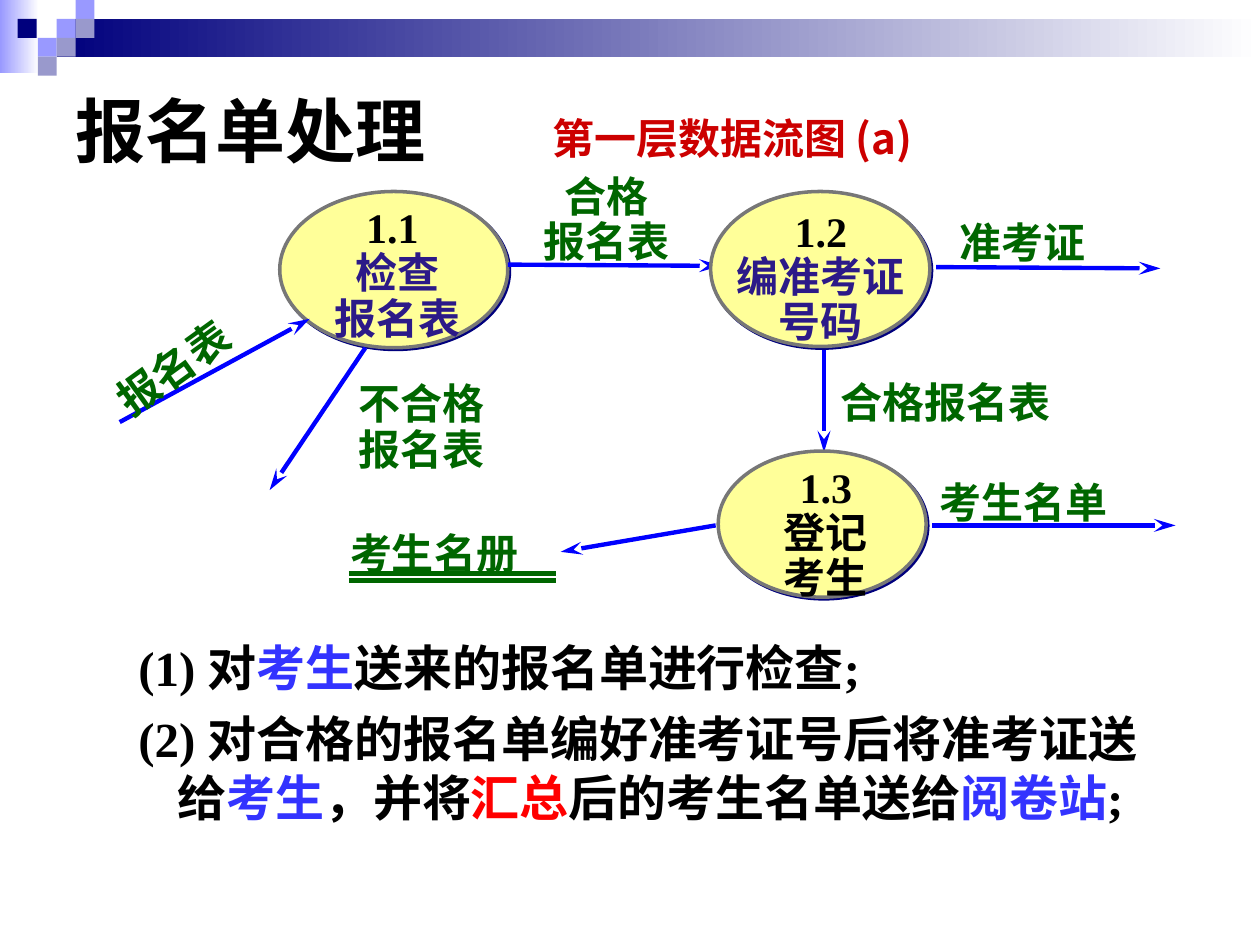
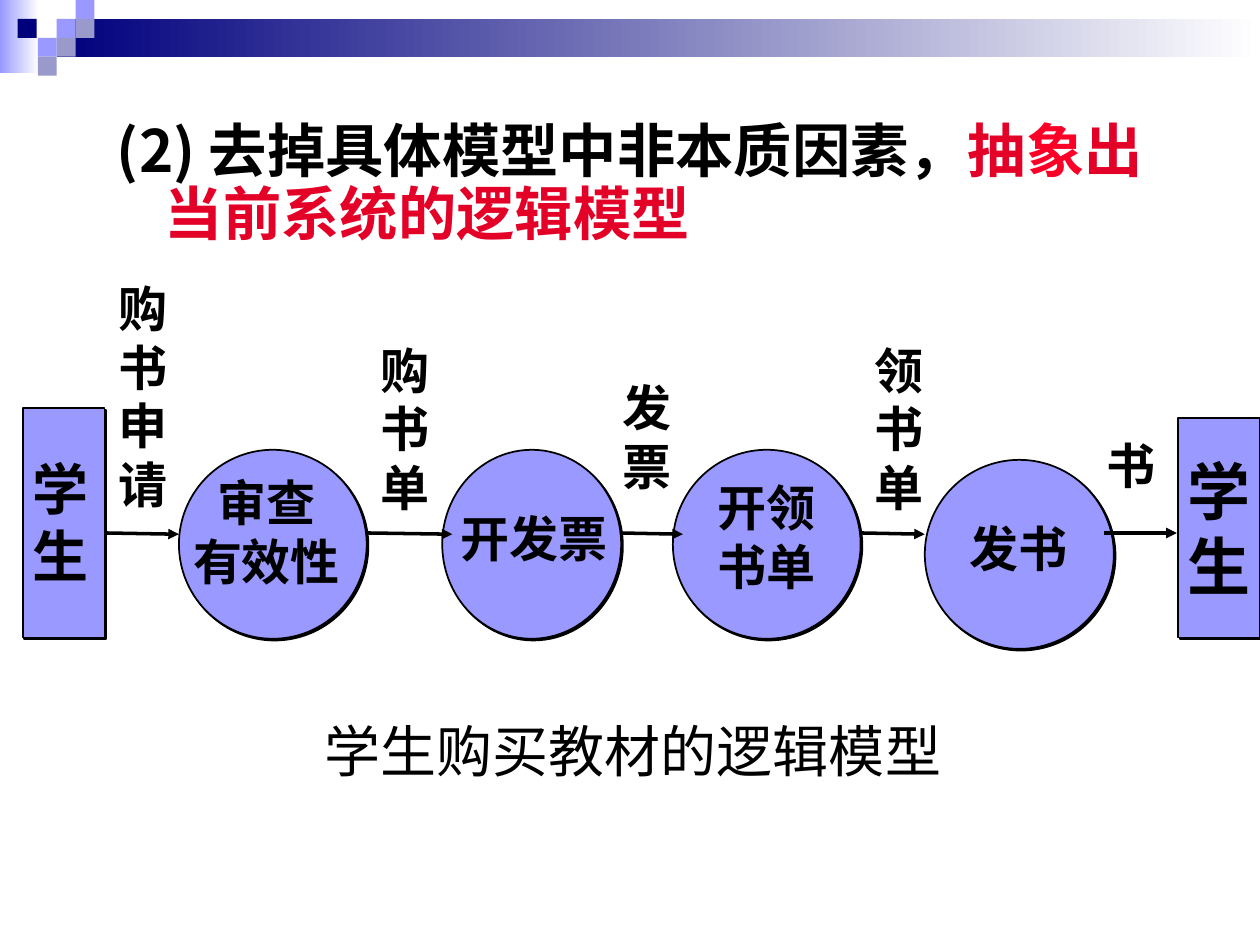
from dataclasses import dataclass

from lxml import etree
from pptx import Presentation
from pptx.dml.color import RGBColor
from pptx.enum.shapes import MSO_CONNECTOR, MSO_SHAPE
from pptx.enum.text import MSO_ANCHOR, PP_ALIGN
from pptx.oxml.ns import qn
from pptx.util import Inches, Pt

RECT, OVAL = MSO_SHAPE.RECTANGLE, MSO_SHAPE.OVAL
STRAIGHT = MSO_CONNECTOR.STRAIGHT
LEFT, CENTER, RIGHT = PP_ALIGN.LEFT, PP_ALIGN.CENTER, PP_ALIGN.RIGHT
TOP, MIDDLE = MSO_ANCHOR.TOP, MSO_ANCHOR.MIDDLE
STEALTH = {"type": "stealth", "w": "med", "len": "lg"}
TRIANGLE = {"type": "triangle"}


@dataclass(frozen=True)
class Theme:
    serif: str = "Times New Roman"
    sans: str = "Noto Sans CJK SC"
    subtitle_font: str = "Noto Sans CJK JP"
    white: str = "FFFFFF"
    black: str = "000000"
    navy: str = "00007D"
    periwinkle: str = "9999FF"
    lavender: str = "9999CC"
    yellow: str = "FFFF99"
    gray: str = "777777"
    flow_blue: str = "0000FF"
    data_green: str = "006600"
    process_text: str = "2C1A88"
    subtitle_red: str = "CC0000"
    term_blue: str = "3333FF"
    term_red: str = "FF0000"
    key_red: str = "E30127"
    key_red_bright: str = "FC0128"
    title_size: float = 40
    student_size: float = 36
    heading_size: float = 33.3
    caption_size: float = 32
    body_size: float = 28
    label_size: float = 24
    leading: float = 1.2
    tight: float = 0.9


THEME = Theme()


def rgb(code):
    return RGBColor.from_string(code)


def place(box):
    return [Inches(length) for length in box]


def write(shape, paragraphs, size, font=THEME.sans, color=THEME.black, bold=True,
          align=LEFT, anchor=TOP, wrap=True, spacing=1, before=0, indent=None):
    """Fill a shape with paragraphs; each is a string or a list of (text, colour) runs."""
    frame = shape.text_frame
    frame.word_wrap = wrap
    frame.vertical_anchor = anchor
    for index, content in enumerate(paragraphs):
        paragraph = frame.add_paragraph() if index else frame.paragraphs[0]
        paragraph.alignment = align
        paragraph.line_spacing = Pt(round(size * THEME.leading * spacing, 1))
        if index and before:
            paragraph.space_before = Pt(before)
        if indent:
            properties = paragraph._p.get_or_add_pPr()
            for name, value in zip(("marL", "indent"), indent):
                properties.set(name, str(Inches(value)))
        runs = [(content, color)] if isinstance(content, str) else content
        for text, run_color in runs:
            run = paragraph.add_run()
            run.text = text
            style = {"name": font, "size": Pt(size), "bold": bold}
            for name, value in style.items():
                setattr(run.font, name, value)
            run.font.color.rgb = rgb(run_color)
            east_asian = THEME.sans if font == THEME.serif else font
            etree.SubElement(run._r.get_or_add_rPr(), qn("a:ea"), typeface=east_asian)


def add_text(slide, box, paragraphs, size, **style):
    text_box = slide.shapes.add_textbox(*place(box))
    write(text_box, paragraphs, size, **style)
    return text_box


def add_block(slide, kind, box, fill):
    block = slide.shapes.add_shape(kind, *place(box))
    block.shadow.inherit = False
    block.line.fill.background()
    block.fill.solid()
    block.fill.fore_color.rgb = rgb(fill)
    return block


def add_node(slide, kind, box, fill, outline, width, shadow):
    """Add an outlined shape with a hard shadow to its lower right."""
    node = add_block(slide, kind, box, fill)
    node.line.color.rgb = rgb(outline)
    node.line.width = Pt(width)
    effects = node._element.spPr.find(qn("a:effectLst"))
    cast = etree.SubElement(effects, qn("a:outerShdw"), dist=str(Pt(1.4)),
                            dir="2700000", algn="ctr", rotWithShape="0")
    etree.SubElement(cast, qn("a:srgbClr"), val=shadow)
    return node


def add_line(slide, ends, color, width, arrow=None):
    line = slide.shapes.add_connector(STRAIGHT, *place(ends))
    line.line.color.rgb = rgb(color)
    line.line.width = Pt(width)
    if arrow:
        etree.SubElement(line.line._get_or_add_ln(), qn("a:tailEnd"), arrow)
    etree.SubElement(line._element.spPr, qn("a:effectLst"))


def add_faded_band(slide, box, color):
    band = add_block(slide, RECT, box, color)
    band.fill.gradient()
    band.fill.gradient_angle = 180
    for stop, stop_color in zip(band.fill.gradient_stops, (THEME.white, color)):
        stop.color.rgb = rgb(stop_color)


def add_banded_slide(deck):
    slide = deck.slides.add_slide(deck.slide_layouts[6])
    add_faded_band(slide, (0, 0, 0.31, 0.58), THEME.periwinkle)
    add_faded_band(slide, (0.45, 0.15, 9.55, 0.3), THEME.navy)
    tile = 0.15
    for left, top, color in [
        (0.45, 0.15, THEME.periwinkle), (0.6, 0, THEME.periwinkle),
        (0.6, 0.15, THEME.lavender), (0.3, 0.3, THEME.periwinkle),
        (0.14, 0.15, THEME.navy), (0.45, 0.3, THEME.lavender),
        (0.3, 0.45, THEME.lavender),
    ]:
        add_block(slide, RECT, (left, top, tile, tile), color)
    return slide


def add_process(slide, oval, text_area, number, names, color):
    add_node(slide, OVAL, oval, THEME.yellow, THEME.gray, 2, THEME.navy)
    add_text(slide, text_area, [[(number, THEME.black)], *names], THEME.label_size,
             font=THEME.serif, color=color, align=CENTER, spacing=THEME.tight)


def add_data_label(slide, box, lines, **style):
    return add_text(slide, box, lines, THEME.label_size, font=THEME.serif,
                    color=THEME.data_green, **style)


def build_registration_slide(deck):
    slide = add_banded_slide(deck)
    add_text(slide, (2.69, 0.84, 4.65, 0.5), ["第一层数据流图 (a)"], THEME.label_size,
             font=THEME.subtitle_font, color=THEME.subtitle_red, align=RIGHT)

    add_process(slide, (2.22, 1.52, 1.81, 1.24), (2.13, 1.59, 2.05, 1.18),
                "1.1 ", ["检查", "报名表"], THEME.process_text)
    for flow in [
        (0.95, 3.35, 2.46, 2.53), (4.03, 2.1, 5.72, 2.11), (7.4, 4.17, 9.33, 4.17),
        (5.68, 4.17, 4.45, 4.38), (6.54, 2.76, 6.54, 3.59), (2.9, 2.76, 2.14, 3.89),
        (7.43, 2.12, 9.21, 2.13),
    ]:
        add_line(slide, flow, THEME.flow_blue, 2.5, STEALTH)
    add_process(slide, (5.64, 1.52, 1.74, 1.23), (5.65, 1.62, 1.73, 1.18),
                "1.2", ["编准考证号码"], THEME.process_text)
    add_process(slide, (5.7, 3.58, 1.65, 1.16), (5.69, 3.65, 1.73, 1.18),
                "1.3", ["登记", "考生"], THEME.black)

    application = add_data_label(slide, (0.74, 2.55, 1.59, 0.5), ["报名表"])
    application.rotation = 324.2
    add_data_label(slide, (7.52, 1.67, 1.49, 0.5), ["准考证"])
    add_data_label(slide, (7.36, 3.73, 1.85, 0.5), ["考生名单"])
    add_data_label(slide, (6.57, 2.94, 2, 0.5), ["合格报名表"])
    add_data_label(slide, (2.75, 2.99, 1.48, 0.82), ["不合格", "报名表"],
                   spacing=THEME.tight)
    add_data_label(slide, (3.87, 1.34, 1.89, 0.82), ["合格", "报名表"],
                   align=CENTER, spacing=THEME.tight)
    add_data_label(slide, (2.68, 4.14, 1.6, 0.5), ["考生名册"])
    for store_y in (4.55, 4.61):
        add_line(slide, (2.77, store_y, 4.41, store_y), THEME.data_green, 3)

    add_text(slide, (0.5, 0.5, 9, 1.05), ["报名单处理"], THEME.title_size,
             font=THEME.serif, anchor=MIDDLE)
    steps = [
        [("(1) 对", THEME.black), ("考生", THEME.term_blue),
         ("送来的报名单进行检查;", THEME.black)],
        [("(2) 对合格的报名单编好准考证号后将准考证送给", THEME.black),
         ("考生", THEME.term_blue), ("，并将", THEME.black),
         ("汇总", THEME.term_red), ("后的考生名单送给", THEME.black),
         ("阅卷站", THEME.term_blue), (";", THEME.black)],
    ]
    add_text(slide, (0.5, 5.01, 9, 2.05), steps, THEME.body_size, font=THEME.serif,
             before=7, indent=(0.81, -0.31))


def build_textbook_slide(deck):
    slide = add_banded_slide(deck)
    heading = [("(2) 去掉具体模型中非本质因素，", THEME.black), ("抽", THEME.key_red),
               ("象", THEME.key_red_bright), ("出当前系统的逻辑模型", THEME.key_red)]
    add_text(slide, (0.83, 0.91, 8.62, 1.26), [heading], THEME.heading_size,
             spacing=THEME.tight, indent=(0.38, -0.38))
    add_text(slide, (2.48, 5.64, 5.1, 0.63), ["学生购买教材的逻辑模型"],
             THEME.caption_size, bold=False, wrap=False)

    node_style = (THEME.periwinkle, THEME.black, 1, THEME.black)
    add_node(slide, RECT, (0.18, 3.24, 0.65, 1.82), *node_style)
    add_text(slide, (0.16, 3.56, 0.77, 1.17), ["学", "生"], THEME.caption_size)
    receiver = add_node(slide, RECT, (9.35, 3.32, 0.65, 1.74), *node_style)
    write(receiver, ["学", "生"], THEME.student_size, align=CENTER, anchor=MIDDLE,
          wrap=False)

    for oval, text_area, names in [
        ((1.42, 3.57, 1.49, 1.5), (1.43, 3.7, 1.37, 1.04), ["审查", "有效性"]),
        ((3.51, 3.57, 1.42, 1.5), (3.55, 3.99, 1.37, 0.57), ["开发票"]),
        ((5.34, 3.57, 1.49, 1.5), (5.59, 3.74, 0.98, 1.04), ["开领", "书单"]),
        ((7.34, 3.65, 1.5, 1.5), (7.59, 4.07, 0.98, 0.57), ["发书"]),
    ]:
        add_node(slide, OVAL, oval, *node_style)
        add_text(slide, text_area, names, THEME.body_size, align=CENTER, wrap=False)

    for box, lines, wrap in [
        ((0.84, 2.16, 0.59, 1.97), ["购", "书", "申", "请"], True),
        ((2.92, 2.65, 0.67, 1.5), ["购书", "单"], True),
        ((4.84, 2.95, 0.59, 1.04), ["发", "票"], False),
        ((6.84, 2.65, 0.59, 1.5), ["领", "书", "单"], False),
        ((8.68, 3.41, 0.59, 0.57), ["书"], False),
    ]:
        add_text(slide, box, lines, THEME.body_size, wrap=wrap)

    for start, end, end_y in [(0.84, 1.42, 4.24), (2.92, 3.59, 4.24), (4.92, 5.42, 4.24),
                              (6.84, 7.34, 4.24), (8.76, 9.34, 4.23)]:
        add_line(slide, (start, 4.23, end, end_y), THEME.black, 2, TRIANGLE)


def main():
    deck = Presentation()
    deck.slide_width, deck.slide_height = Inches(10), Inches(7.5)
    build_registration_slide(deck)
    build_textbook_slide(deck)
    deck.save("out.pptx")


if __name__ == "__main__":
    main()
